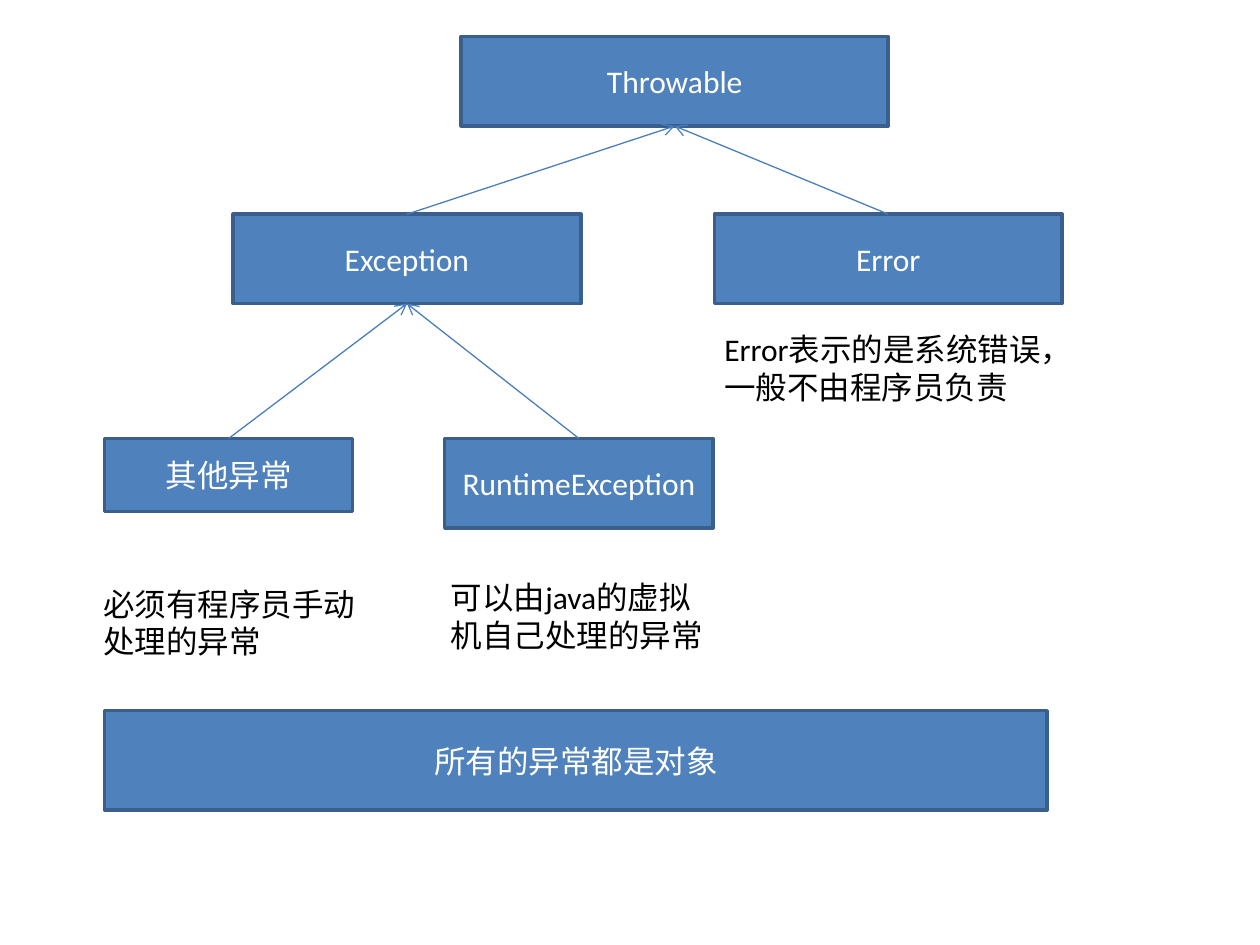
"""Builds a slide showing the Java exception class hierarchy."""
import pptx
import pptx.util
import pptx.dml.color
import pptx.enum.shapes
import pptx.enum.text
import pptx.oxml.ns
import lxml.etree

Inches = pptx.util.Inches
Pt = pptx.util.Pt
COLORS = {"box": "4F81BD", "border": "3A5F8C", "arrow": "4B7EBC",
          "box_text": "FFFFFF", "note_text": "000000"}


def rgb(role):
    return pptx.dml.color.RGBColor.from_string(COLORS[role])


def write(frame, text, role):
    frame.word_wrap = True
    run = frame.paragraphs[0].add_run()
    run.text = text
    run.font.size = Pt(18)
    run.font.name = "Calibri"
    run.font.color.rgb = rgb(role)


deck = pptx.Presentation()
deck.slide_width = Inches(10)
deck.slide_height = Inches(7.5)
slide = deck.slides.add_slide(deck.slide_layouts[6])

classes = [
    ("Throwable", 3.66, 0.29, 3.39, 0.71),
    ("Exception", 1.85, 1.7, 2.76, 0.71),
    ("Error", 5.67, 1.7, 2.76, 0.71),
    ("RuntimeException", 3.53, 3.48, 2.13, 0.71),
    ("其他异常", 0.83, 3.48, 1.97, 0.58),
    ("所有的异常都是对象", 0.83, 5.64, 7.48, 0.79),
]
boxes = {}
for label, left, top, width, height in classes:
    box = slide.shapes.add_shape(
        pptx.enum.shapes.MSO_SHAPE.RECTANGLE,
        Inches(left), Inches(top), Inches(width), Inches(height))
    box.shadow.inherit = False
    box.fill.solid()
    box.fill.fore_color.rgb = rgb("box")
    box.line.color.rgb = rgb("border")
    box.line.width = Pt(2)
    box.text_frame.vertical_anchor = pptx.enum.text.MSO_ANCHOR.MIDDLE
    box.text_frame.paragraphs[0].alignment = pptx.enum.text.PP_ALIGN.CENTER
    write(box.text_frame, label, "box_text")
    boxes[label] = box

inheritance = [
    ("Exception", "Throwable"),
    ("Error", "Throwable"),
    ("RuntimeException", "Exception"),
    ("其他异常", "Exception"),
]
for child, parent in inheritance:
    arrow = slide.shapes.add_connector(
        pptx.enum.shapes.MSO_CONNECTOR.STRAIGHT, 0, 0, 0, 0)
    arrow.begin_connect(boxes[child], 0)
    arrow.end_connect(boxes[parent], 2)
    arrow.line.color.rgb = rgb("arrow")
    arrow.line.width = Pt(0.75)
    outline = arrow.line._get_or_add_ln()
    lxml.etree.SubElement(outline, pptx.oxml.ns.qn("a:tailEnd"), type="arrow")
    lxml.etree.SubElement(outline.getparent(), pptx.oxml.ns.qn("a:effectLst"))

notes = [
    ("Error表示的是系统错误，一般不由程序员负责", 5.65, 2.57, 2.76),
    ("可以由java的虚拟机自己处理的异常", 3.48, 4.54, 2.26),
    ("必须有程序员手动处理的异常", 0.72, 4.59, 2.26),
]
for sentence, left, top, width in notes:
    note = slide.shapes.add_textbox(
        Inches(left), Inches(top), Inches(width), Inches(0.71))
    note.text_frame.auto_size = pptx.enum.text.MSO_AUTO_SIZE.SHAPE_TO_FIT_TEXT
    write(note.text_frame, sentence, "note_text")

deck.save("out.pptx")
